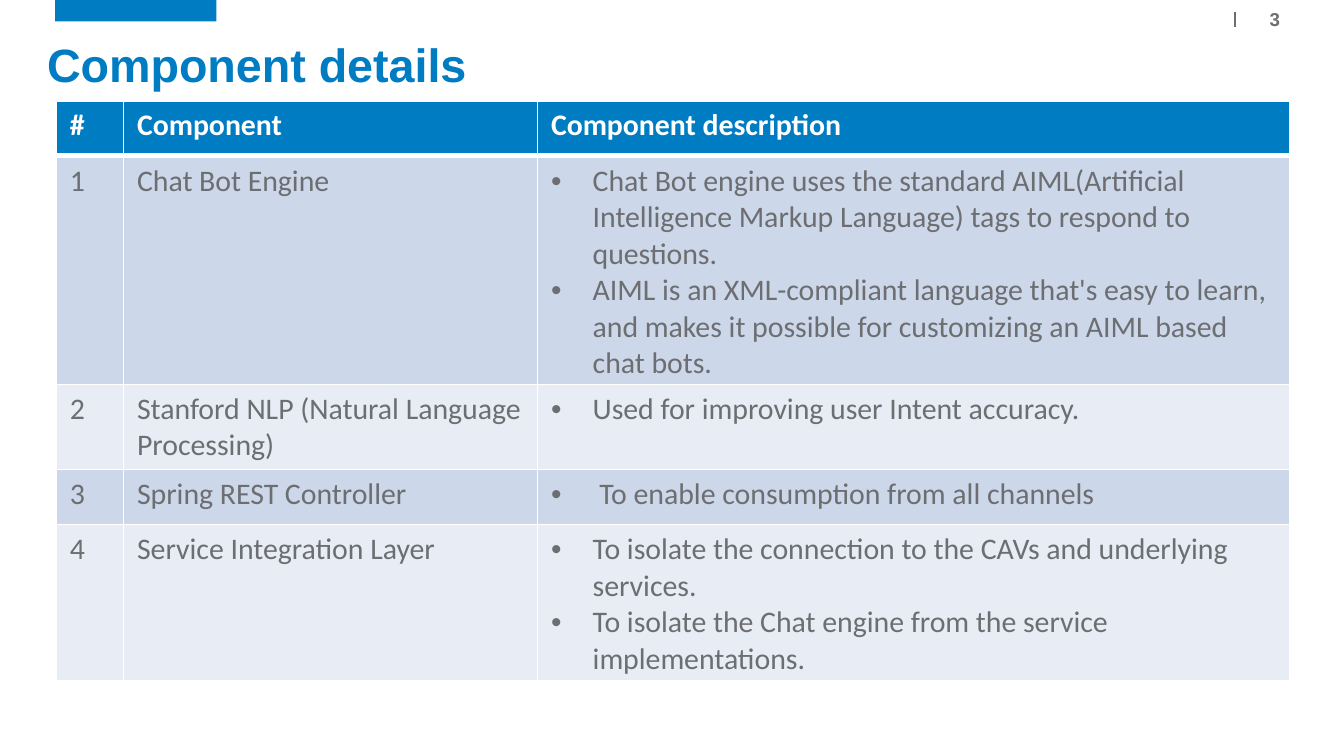
from pptx import Presentation, util as u
from pptx.dml.color import RGBColor
from pptx.enum import shapes, text
from pptx.oxml.ns import qn
from lxml import etree

BLUE, GREY, WHITE = "007CC3", "6D6E71", "FFFFFF"
BANDS = ["CCD7E9", "E7ECF5"]
HEADINGS = ["#", "Component", "Component description"]
COMPONENTS = [
    ("Chat Bot Engine", [
        "Chat Bot engine uses the standard AIML(Artificial Intelligence Markup Language) "
        "tags to respond to questions.",
        "AIML is an XML-compliant language that's easy to learn, and makes it possible "
        "for customizing an AIML based chat bots."]),
    ("Stanford NLP (Natural Language Processing)", [
        "Used for improving user Intent accuracy."]),
    ("Spring REST Controller", [" To enable consumption from all channels"]),
    ("Service Integration Layer", [
        "To isolate the connection to the CAVs and underlying services. ",
        "To isolate the Chat engine from the service implementations."]),
]


def color(value):
    """Turn a hex string into a colour."""
    return RGBColor.from_string(value)


def inches(*lengths):
    """Turn numbers into lengths in inches."""
    return [u.Inches(length) for length in lengths]


def style(para, name, size, value, bold=False):
    """Set the font of a paragraph."""
    font = para.font
    font.name, font.size, font.bold = name, u.Pt(size), bold
    font.color.rgb = color(value)


def add_bullet(para, indent):
    """Give a paragraph a hanging bullet."""
    props = para._p.get_or_add_pPr()
    props.set("marL", str(u.Inches(indent)))
    props.set("indent", str(-u.Inches(indent)))
    bullet = etree.Element(qn("a:buChar"), char="•")
    font = etree.Element(qn("a:buFont"), typeface="Arial")
    props.find(qn("a:defRPr")).addprevious(font)
    font.addnext(bullet)


def add_borders(cell, bottom):
    """Draw white borders round a cell."""
    props = cell._tc.get_or_add_tcPr()
    for side, width in (("L", 1), ("R", 1), ("T", 1), ("B", bottom)):
        line = etree.SubElement(props, qn("a:ln" + side), w=str(u.Pt(width)))
        fill = etree.SubElement(line, qn("a:solidFill"))
        etree.SubElement(fill, qn("a:srgbClr"), val=WHITE)


def fill_cell(cell, lines, fill, value, header=False, bullets=False):
    """Write lines into a cell and colour it."""
    add_borders(cell, 3 if header else 1)
    cell.fill.solid()
    cell.fill.fore_color.rgb = color(fill)
    cell.text_frame.text = "\n".join(lines)
    for para in cell.text_frame.paragraphs:
        style(para, "Calibri", 16, value, header)
        if bullets:
            add_bullet(para, 0.31)


def add_header(page, left, top):
    """Place the accent bar, divider and page number."""
    bar = page.shapes.add_shape(
        shapes.MSO_SHAPE.RECTANGLE, *inches(left, top, 1.2, 0.16))
    bar.shadow.inherit = False
    bar.fill.solid()
    bar.fill.fore_color.rgb = color(BLUE)
    bar.line.fill.background()

    divider = page.shapes.add_connector(
        shapes.MSO_CONNECTOR.STRAIGHT,
        *inches(left + 8.78, top + 0.09, left + 8.78, top + 0.2))
    divider.line.color.rgb = color(GREY)
    divider.line.width = u.Pt(1)
    etree.SubElement(divider._element.spPr, qn("a:effectLst"))

    number = page.shapes.add_textbox(*inches(left + 8.97, top + 0.04, 0.21, 0.21))
    frame = number.text_frame
    frame.word_wrap = False
    frame.auto_size = text.MSO_AUTO_SIZE.SHAPE_TO_FIT_TEXT
    frame.vertical_anchor = text.MSO_ANCHOR.MIDDLE
    frame.margin_left = frame.margin_right = u.Inches(0.02)
    frame.margin_top = frame.margin_bottom = u.Inches(0.02)
    frame.text = "3"
    para = frame.paragraphs[0]
    para.alignment = text.PP_ALIGN.CENTER
    style(para, "Arial", 10, GREY, True)


def add_title(page, left, top, width, height):
    """Fill the title placeholder."""
    title = page.shapes.title
    title.left, title.top, title.width, title.height = inches(left, top, width, height)
    frame = title.text_frame
    frame.text = "Component details"
    frame.vertical_anchor = text.MSO_ANCHOR.BOTTOM
    para = frame.paragraphs[0]
    para.alignment = text.PP_ALIGN.LEFT
    para.line_spacing = 0.9
    style(para, "Arial", 25, BLUE, True)


def add_components(page, left, top, width, height):
    """Build the component table."""
    box = page.shapes.add_table(
        len(COMPONENTS) + 1, len(HEADINGS), *inches(left, top, width, height))
    table = box.table
    for column, share in zip(table.columns, (0.5, 3.08, width - 3.58)):
        column.width = u.Inches(share)
    for row in table.rows:
        row.height = u.Inches(0.41)
    box.height = u.Inches(height)
    for column, heading in enumerate(HEADINGS):
        fill_cell(table.cell(0, column), [heading], BLUE, WHITE, header=True)
    for row, (name, details) in enumerate(COMPONENTS, 1):
        for column, lines in enumerate(([str(row)], [name], details)):
            fill_cell(table.cell(row, column), lines, BANDS[(row - 1) % 2], GREY,
                      bullets=column == 2)


def main():
    """Build and save the deck."""
    deck = Presentation()
    deck.slide_width, deck.slide_height = inches(10, 10 * 9 / 16)
    page = deck.slides.add_slide(deck.slide_layouts[5])
    add_header(page, 0.41, 0)
    add_title(page, 0.25, 0.16, 9.5, 0.58)
    add_components(page, 0.42, 0.75, 9.18, 4.31)
    deck.save("out.pptx")


main()
